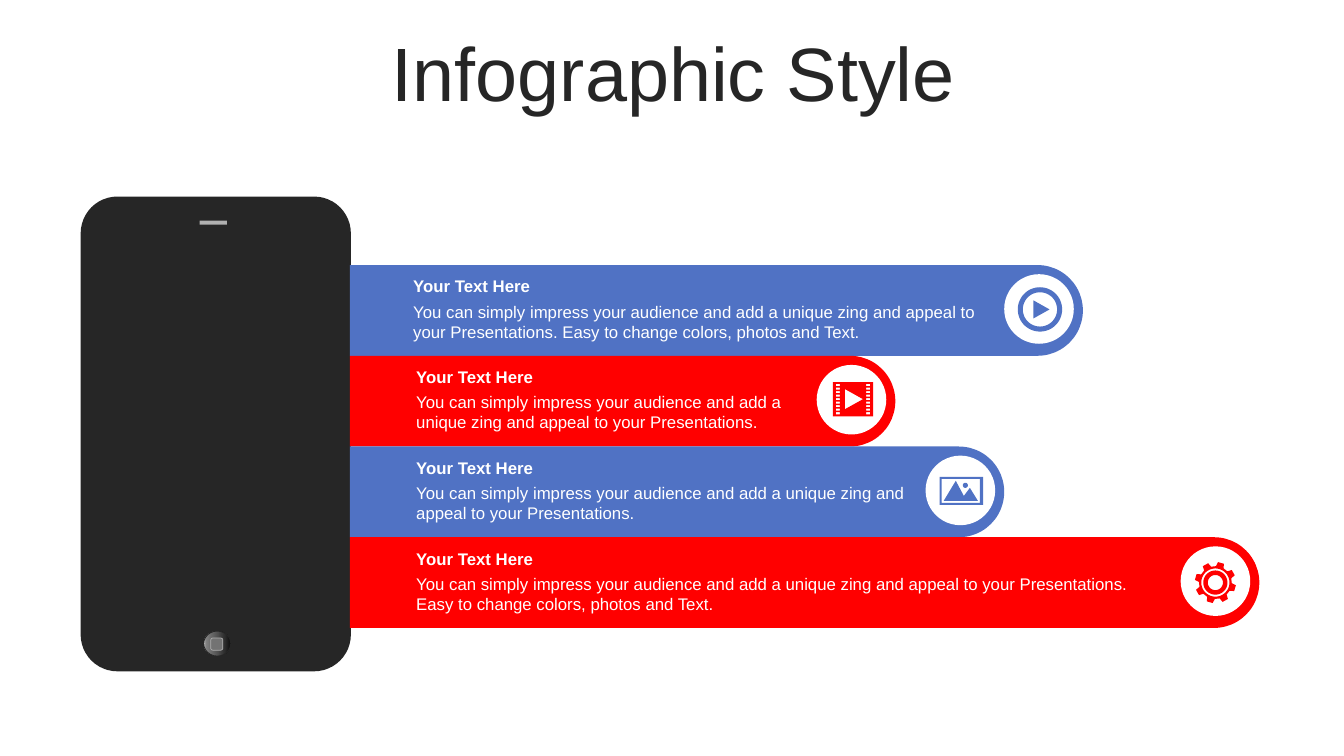
import math
from copy import deepcopy
from dataclasses import dataclass

from pptx import Presentation
from pptx import util as u
from pptx.dml.color import RGBColor
from pptx.enum import shapes, text

PX = 9144  # EMU in one px, 100 px to the inch
COLORS = {
    "blue": "5072C4",
    "red": "FF0000",
    "white": "FFFFFF",
    "dark": "262626",
    "speaker": "B0B0B0",
    "key": "737373",
}
BUTTON_STOPS = [(0, "0F0F0F"), (0.56, "595959"), (0.91, "808080"), (1, "BFBFBF")]
FONT = "Arial"
BAR_LEFT, BAR_TOP, BAR_HEIGHT = 347, 263, 90
DISC_SIZE, DISC_FROM_END, DISC_DROP = 69, 78, 9
HEADING_DROP, BODY_DROP = 6, 31

Point = tuple[float, float]
Contour = list[Point]


@dataclass
class Bar:
    color: str
    width: int
    text_left: int
    text_width: int
    body: str
    icon: list[Contour]


def px(length: float) -> int:
    return round(length * PX)


def rgb(color: str) -> RGBColor:
    return RGBColor.from_string(COLORS[color])


def polar(center: Point, radius: float, degrees: float) -> Point:
    angle = math.radians(degrees)
    return center[0] + radius * math.cos(angle), center[1] + radius * math.sin(angle)


def circle(center: Point, radius: float) -> Contour:
    return [polar(center, radius, degrees) for degrees in range(0, 360, 6)]


def box(left: float, top: float, right: float, bottom: float) -> Contour:
    return [(left, top), (right, top), (right, bottom), (left, bottom)]


def play_icon() -> list[Contour]:
    center = (35.5, 35)
    return [circle(center, 22), circle(center, 17), [(29, 26), (45, 35), (29, 44)]]


def film_icon() -> list[Contour]:
    holes = [
        box(left, 19 + 3.5 * row, left + 4, 21 + 3.5 * row)
        for row in range(9)
        for left in (19, 49)
    ]
    return [box(16, 17, 56, 51), [(28, 24), (46, 34), (28, 44)], *holes]


def landscape_icon() -> list[Contour]:
    mountains = [(30, 25), (38, 40), (44, 32), (52, 45), (18, 45)]
    return [box(14, 21, 57, 49), box(16, 23, 54, 47), mountains, circle((39.5, 29.5), 2.5)]


def gear_icon() -> list[Contour]:
    center = (34.5, 36)
    tooth = [(16.3, -14), (20.5, -8.5), (20.5, 8.5), (16.3, 14)]
    outline = [
        polar(center, radius, 16 + 45 * number + degrees)
        for number in range(8)
        for radius, degrees in tooth
    ]
    return [outline] + [circle(center, radius) for radius in (14, 12, 7.5)]


def finish(shape, color: str) -> None:
    """Give a shape a plain fill, with no line or shadow."""
    shape.shadow.inherit = False
    shape.fill.solid()
    shape.fill.fore_color.rgb = rgb(color)
    shape.line.fill.background()


def add_shape(slide, kind, left: float, top: float, width: float, height: float, color: str):
    shape = slide.shapes.add_shape(kind, px(left), px(top), px(width), px(height))
    finish(shape, color)
    return shape


def set_outline(shape, color: str, points: float) -> None:
    shape.line.color.rgb = rgb(color)
    shape.line.width = u.Pt(points)


def add_text(slide, words: str, left: int, top: int, width: int, height: int, *,
             size: int = 12, color: str = "white", bold: bool = False,
             align=text.PP_ALIGN.LEFT, anchor=text.MSO_ANCHOR.TOP,
             line_spacing: float = 1.0, space_before: int = 0) -> None:
    frame = slide.shapes.add_textbox(px(left), px(top), px(width), px(height)).text_frame
    frame.word_wrap = True
    frame.vertical_anchor = anchor
    paragraph = frame.paragraphs[0]
    paragraph.alignment = align
    paragraph.line_spacing = line_spacing
    paragraph.space_before = u.Pt(space_before)
    run = paragraph.add_run()
    run.text = words
    run.font.name = FONT
    run.font.size = u.Pt(size)
    run.font.bold = bold
    run.font.color.rgb = rgb(color)


def add_icon(slide, contours: list[Contour], left: int, top: int, color: str) -> None:
    """Draw all contours as one shape, so that inner ones cut holes."""
    placed = [[(px(left + x), px(top + y)) for x, y in contour] for contour in contours]
    builder = slide.shapes.build_freeform(*placed[0][0], scale=1.0)
    for number, contour in enumerate(placed):
        if number:
            builder.move_to(*contour[0])
        builder.add_line_segments(contour[1:], close=True)
    finish(builder.convert_to_shape(), color)


def fill_gradient(shape, stops: list[tuple[float, str]], angle: float) -> None:
    shape.fill.gradient()
    shape.fill.gradient_angle = angle
    stop_list = shape._element.spPr.find(".//{*}gsLst")
    while len(stop_list) < len(stops):
        stop_list.append(deepcopy(stop_list[0]))
    for stop, (position, color) in zip(shape.fill.gradient_stops, stops):
        stop.position = position
        stop.color.rgb = RGBColor.from_string(color)


def add_phone(slide) -> None:
    kind = shapes.MSO_SHAPE
    body = add_shape(slide, kind.ROUNDED_RECTANGLE, 80, 195, 268, 471, "dark")
    body.adjustments[0] = 0.136
    add_shape(slide, kind.RECTANGLE, 198, 219, 27, 4, "speaker")
    button = add_shape(slide, kind.OVAL, 202, 626, 27, 25, "dark")
    fill_gradient(button, BUTTON_STOPS, 180)
    set_outline(button, "dark", 0)
    key = add_shape(slide, kind.ROUNDED_RECTANGLE, 209, 633, 12, 12, "key")
    set_outline(key, "speaker", 0.5)


def add_bar(slide, bar: Bar, top: int) -> None:
    middle_x, middle_y = BAR_LEFT + bar.width / 2, top + BAR_HEIGHT / 2
    strip = add_shape(slide, shapes.MSO_SHAPE.ROUND_2_SAME_RECTANGLE,
                      middle_x - BAR_HEIGHT / 2, middle_y - bar.width / 2,
                      BAR_HEIGHT, bar.width, bar.color)
    strip.rotation = 90
    strip.adjustments[0], strip.adjustments[1] = 0.5, 0

    add_text(slide, bar.body, bar.text_left, top + BODY_DROP, bar.text_width, 50)
    add_text(slide, "Your Text Here", bar.text_left, top + HEADING_DROP,
             bar.text_width, 30, bold=True)

    disc_left, disc_top = BAR_LEFT + bar.width - DISC_FROM_END, top + DISC_DROP
    add_shape(slide, shapes.MSO_SHAPE.OVAL, disc_left, disc_top, DISC_SIZE, DISC_SIZE, "white")
    add_icon(slide, bar.icon, disc_left, disc_top, bar.color)


def main() -> None:
    presentation = Presentation()
    presentation.slide_width, presentation.slide_height = px(1333), px(750)
    slide = presentation.slides.add_slide(presentation.slide_layouts[6])

    short = ("You can simply impress your audience and add a unique zing "
             "and appeal to your Presentations.")
    long = short + " Easy to change colors, photos and Text."
    bars = [
        Bar("blue", 727, 400, 587, long, play_icon()),
        Bar("red", 541, 403, 400, short, film_icon()),
        Bar("blue", 649, 403, 507, short, landscape_icon()),
        Bar("red", 902, 403, 760, long, gear_icon()),
    ]

    add_phone(slide)
    add_text(slide, "Infographic Style", 35, 37, 1266, 79, size=54, color="dark",
             align=text.PP_ALIGN.CENTER, anchor=text.MSO_ANCHOR.MIDDLE,
             line_spacing=0.9, space_before=10)
    for number, bar in enumerate(bars):
        add_bar(slide, bar, BAR_TOP + number * BAR_HEIGHT)
    presentation.save("out.pptx")


if __name__ == "__main__":
    main()
